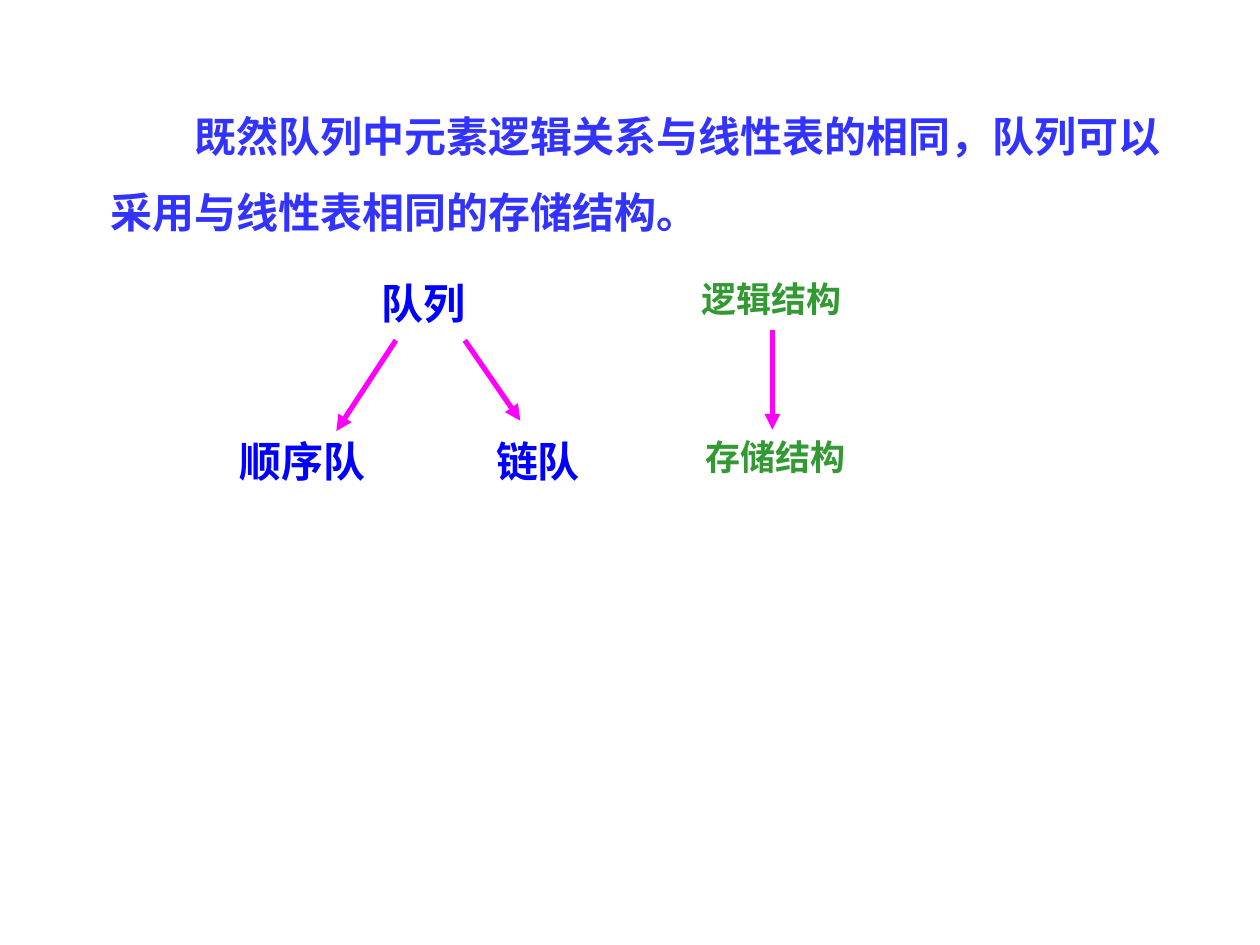
from pptx import Presentation
from pptx.dml.color import RGBColor
from pptx.enum.shapes import MSO_CONNECTOR
from pptx.enum.text import MSO_AUTO_SIZE, PP_ALIGN
from pptx.oxml.ns import qn
from pptx.util import Cm, Pt
from lxml import etree

STRAIGHT = MSO_CONNECTOR.STRAIGHT
FIT_SHAPE = MSO_AUTO_SIZE.SHAPE_TO_FIT_TEXT
LEFT, CENTER = PP_ALIGN.LEFT, PP_ALIGN.CENTER

INTRO = {"size": 24, "color": "3333FF"}
QUEUE = {"size": 24, "color": "0000FF"}
STRUCTURE = {"size": 20, "color": "339933"}
ARROW_COLOR = "FF00FF"
LOWER_ROW = 3.2


def rgb(value):
    return RGBColor.from_string(value)


def add_label(page, text, left, top, width, height, style, align=LEFT):
    box = page.shapes.add_textbox(Cm(left), Cm(top), Cm(width), Cm(height))
    frame = box.text_frame
    frame.word_wrap = True
    frame.auto_size = FIT_SHAPE
    para = frame.paragraphs[0]
    para.alignment = align
    span = para.add_run()
    span.text = text
    formats = {"name": "Times New Roman", "size": Pt(style["size"]), "bold": True}
    for name, value in formats.items():
        setattr(span.font, name, value)
    span.font.color.rgb = rgb(style["color"])
    return para


def add_arrow(page, left, top, start, end):
    arrow = page.shapes.add_connector(
        STRAIGHT,
        Cm(left + start[0]), Cm(top + start[1]),
        Cm(left + end[0]), Cm(top + end[1]),
    )
    arrow.line.color.rgb = rgb(ARROW_COLOR)
    arrow.line.width = Pt(3)
    line = arrow.line._get_or_add_ln()
    etree.SubElement(line, qn("a:tailEnd"), type="triangle")
    etree.SubElement(arrow._element.spPr, qn("a:effectLst"))


def add_intro(page, left, top, width, height):
    text = "既然队列中元素逻辑关系与线性表的相同，队列可以采用与线性表相同的存储结构。"
    para = add_label(page, text, left, top, width, height, INTRO)
    para.line_spacing = 1.5
    two_characters = Pt(2 * INTRO["size"])
    para._p.get_or_add_pPr().set("indent", str(int(two_characters)))


def add_queue_tree(page, left, top):
    height = 1.27
    add_label(page, "队列", left + 2.59, top, 2.77, height, QUEUE, CENTER)
    for text, offset, width in (("顺序队", 0, 4.19), ("链队", 5.18, 3)):
        add_label(page, text, left + offset, top + LOWER_ROW, width, height, QUEUE)
    for start, end in (((3.41, 1.4), (2.21, 3.23)), ((4.8, 1.4), (5.92, 3.02))):
        add_arrow(page, left, top, start, end)


def add_structure_pair(page, left, top):
    height = 1.12
    add_label(page, "逻辑结构", left, top, 3.76, height, STRUCTURE)
    add_label(page, "存储结构", left + 0.08, top + LOWER_ROW, 3.99, height, STRUCTURE)
    add_arrow(page, left, top, (1.68, 1.19), (1.68, LOWER_ROW))


def main():
    deck = Presentation()
    deck.slide_width, deck.slide_height = Cm(25.4), Cm(19.05)
    page = deck.slides.add_slide(deck.slide_layouts[6])
    add_intro(page, 1.98, 1.6, 22.43, 3.3)
    add_queue_tree(page, 4.57, 5.46)
    add_structure_pair(page, 13.89, 5.46)
    deck.save("out.pptx")


if __name__ == "__main__":
    main()
